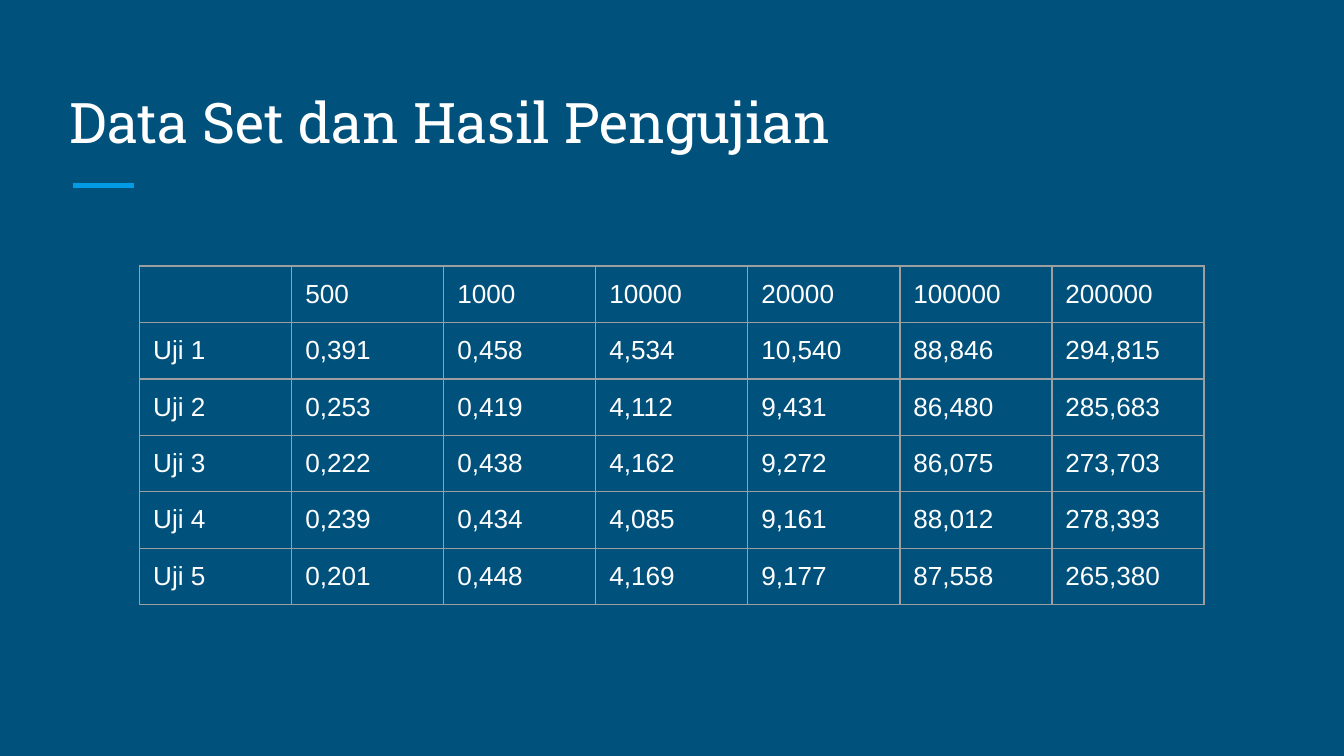
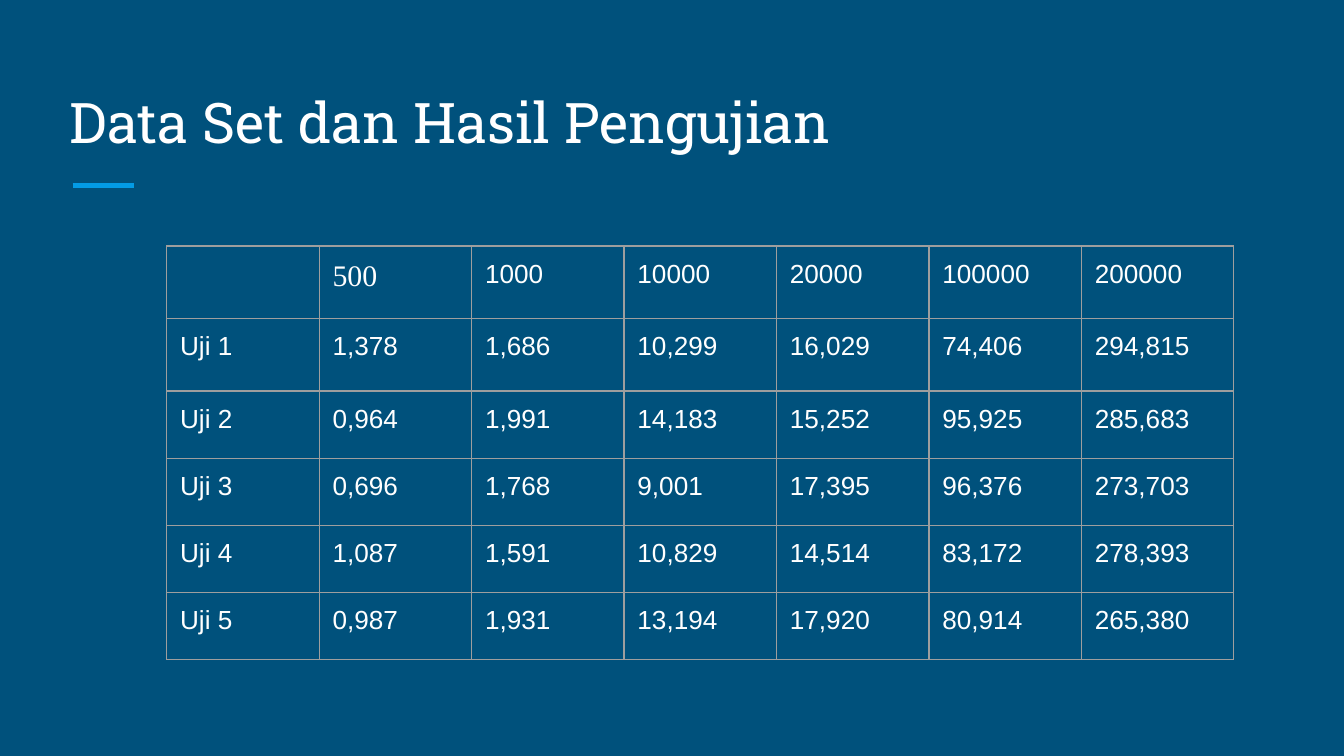
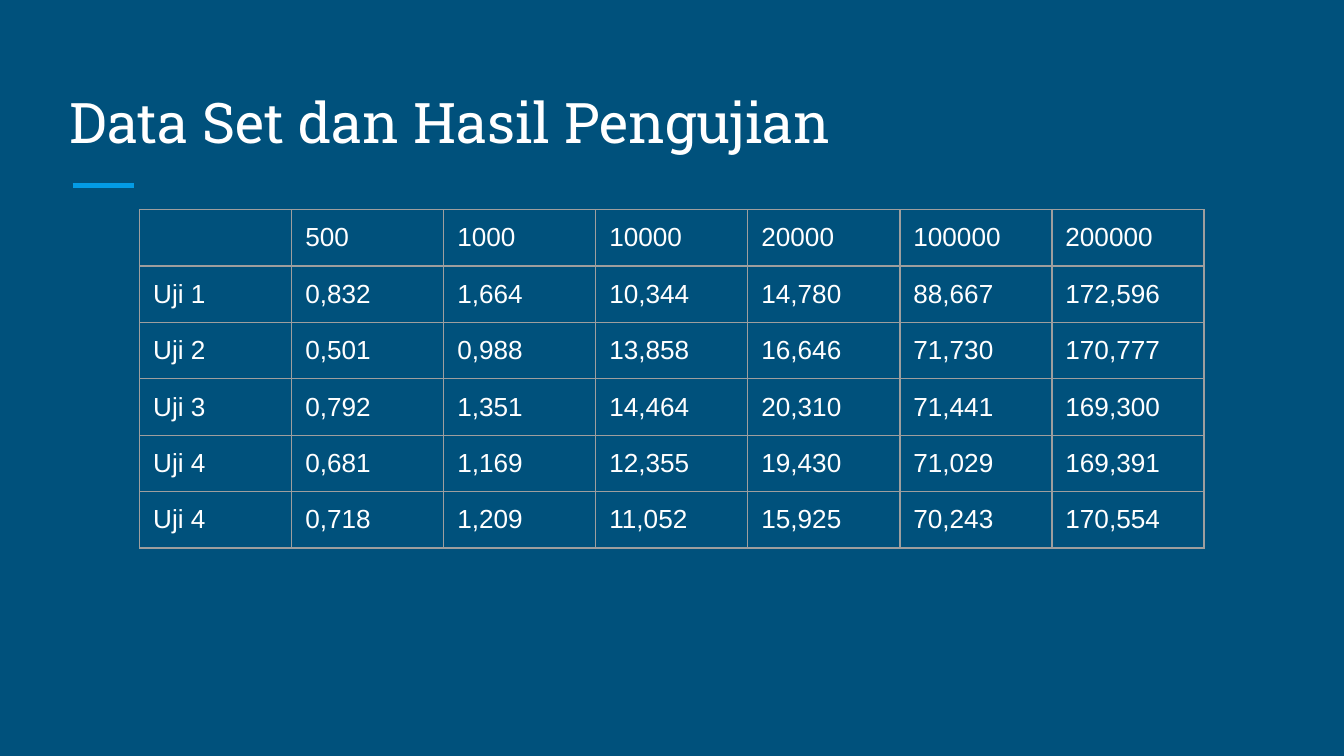
from lxml.etree import SubElement
from pptx import Presentation
from pptx.dml.color import RGBColor as RGB
from pptx.enum.shapes import MSO_CONNECTOR as LINK
from pptx.enum.text import MSO_ANCHOR as ANCHOR, MSO_AUTO_SIZE as FIT, PP_ALIGN as ALIGN
from pptx.oxml.ns import qn
from pptx.util import Inches, Pt

COLORS = {"back": "00517C", "accent": "039BE5", "text": "FFFFFF", "grid": "9E9E9E"}
TITLE = "Data Set dan Hasil Pengujian"
HEAD = ["", "500", "1000", "10000", "20000", "100000", "200000"]
ROW = 0.42

SLIDES = [
    {
        "at": (1.04, 1.98), "width": 7.92, "heights": [ROW] * 6, "special": {},
        "rows": [
            ["Uji 1", "0,391", "0,458", "4,534", "10,540", "88,846", "294,815"],
            ["Uji 2", "0,253", "0,419", "4,112", "9,431", "86,480", "285,683"],
            ["Uji 3", "0,222", "0,438", "4,162", "9,272", "86,075", "273,703"],
            ["Uji 4", "0,239", "0,434", "4,085", "9,161", "88,012", "278,393"],
            ["Uji 5", "0,201", "0,448", "4,169", "9,177", "87,558", "265,380"],
        ],
    },
    {
        "at": (1.24, 1.83), "width": 7.94, "heights": [0.54] * 2 + [0.5] * 4,
        "special": {(0, 1): {"size": 16, "font": "Times New Roman"}},
        "rows": [
            ["Uji 1", "1,378", "1,686", "10,299", "16,029", "74,406", "294,815"],
            ["Uji 2", "0,964", "1,991", "14,183", "15,252", "95,925", "285,683"],
            ["Uji 3", "0,696", "1,768", "9,001", "17,395", "96,376", "273,703"],
            ["Uji 4", "1,087", "1,591", "10,829", "14,514", "83,172", "278,393"],
            ["Uji 5", "0,987", "1,931", "13,194", "17,920", "80,914", "265,380"],
        ],
    },
    {
        "at": (1.04, 1.56), "width": 7.92, "heights": [ROW] * 6, "special": {},
        "rows": [
            ["Uji 1", "0,832", "1,664", "10,344", "14,780", "88,667", "172,596"],
            ["Uji 2", "0,501", "0,988", "13,858", "16,646", "71,730", "170,777"],
            ["Uji 3", "0,792", "1,351", "14,464", "20,310", "71,441", "169,300"],
            ["Uji 4", "0,681", "1,169", "12,355", "19,430", "71,029", "169,391"],
            ["Uji 4", "0,718", "1,209", "11,052", "15,925", "70,243", "170,554"],
        ],
    },
]


def color(name):
    return RGB.from_string(COLORS[name])


def write(frame, text, size=14, font="Arial", fill="text"):
    para = frame.paragraphs[0]
    para.alignment = ALIGN.LEFT
    if not text:
        # An empty cell still needs a size and font, or its row grows.
        end = SubElement(para._p, qn("a:endParaRPr"), sz=str(size * 100))
        SubElement(end, qn("a:latin"), typeface=font)
        return
    run = para.add_run()
    run.text = text
    run.font.size = Pt(size)
    run.font.name = font
    run.font.color.rgb = color(fill)


def pad(box):
    box.margin_left = box.margin_right = Inches(0.1)
    box.margin_top = box.margin_bottom = Inches(0.1)


def add_title(slide):
    title = slide.shapes.title
    title.left, title.top = Inches(0.42), Inches(0.5)
    title.width, title.height = Inches(9.15), Inches(0.75)
    frame = title.text_frame
    frame.auto_size = FIT.NONE
    frame.word_wrap = True
    frame.vertical_anchor = ANCHOR.BOTTOM
    pad(frame)
    write(frame, TITLE, size=30, font="Roboto Slab")


def add_bar(slide):
    y = Inches(1.38)
    bar = slide.shapes.add_connector(LINK.STRAIGHT, Inches(0.54), y, Inches(1), y)
    bar.line.color.rgb = color("accent")
    bar.line.width = Pt(3)
    SubElement(bar._element.spPr, qn("a:effectLst"))


def frame_cell(cell):
    """Draw the four borders of a cell."""
    props = cell._tc.get_or_add_tcPr()
    for side in ("lnL", "lnR", "lnT", "lnB"):
        line = SubElement(props, qn(f"a:{side}"), w=str(Pt(0.75)))
        fill = SubElement(line, qn("a:solidFill"))
        SubElement(fill, qn("a:srgbClr"), val=COLORS["grid"])


def add_grid(slide, data):
    rows = [HEAD] + data["rows"]
    left, top = data["at"]
    table = slide.shapes.add_table(
        len(rows), len(HEAD), Inches(left), Inches(top),
        Inches(data["width"]), Inches(sum(data["heights"]))).table
    table.first_row = table.horz_banding = False
    for col in table.columns:
        col.width = Inches(data["width"] / len(HEAD))
    for r, (texts, height) in enumerate(zip(rows, data["heights"])):
        table.rows[r].height = Inches(height)
        for c, text in enumerate(texts):
            cell = table.cell(r, c)
            pad(cell)
            frame_cell(cell)
            cell.fill.background()
            write(cell.text_frame, text, **data["special"].get((r, c), {}))


def main():
    deck = Presentation()
    deck.slide_width = Inches(10)
    deck.slide_height = deck.slide_width * 9 // 16
    back = deck.slide_master.background.fill
    back.solid()
    back.fore_color.rgb = color("back")
    for data in SLIDES:
        slide = deck.slides.add_slide(deck.slide_layouts[5])
        add_bar(slide)
        add_title(slide)
        add_grid(slide, data)
    deck.save("out.pptx")


if __name__ == "__main__":
    main()
